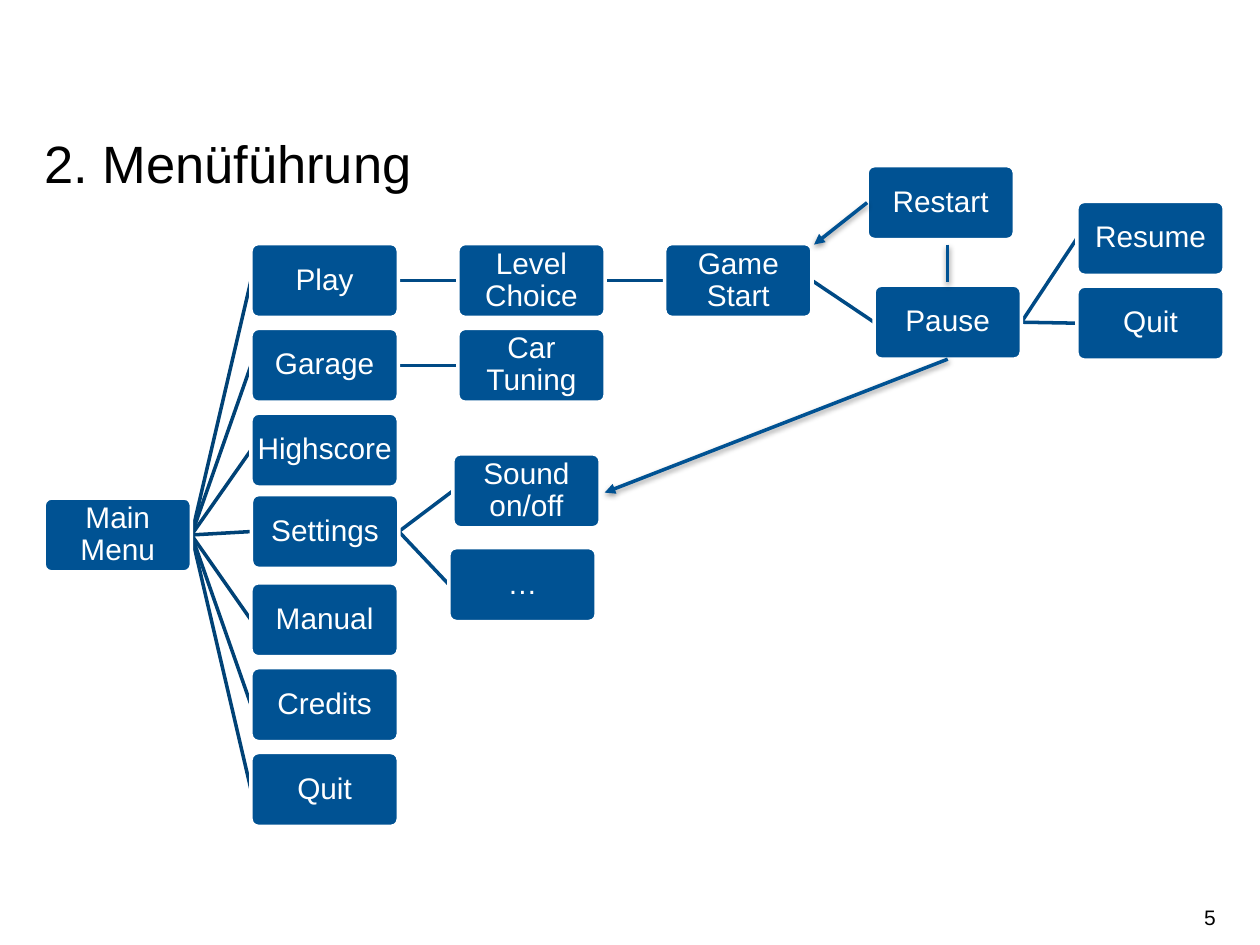
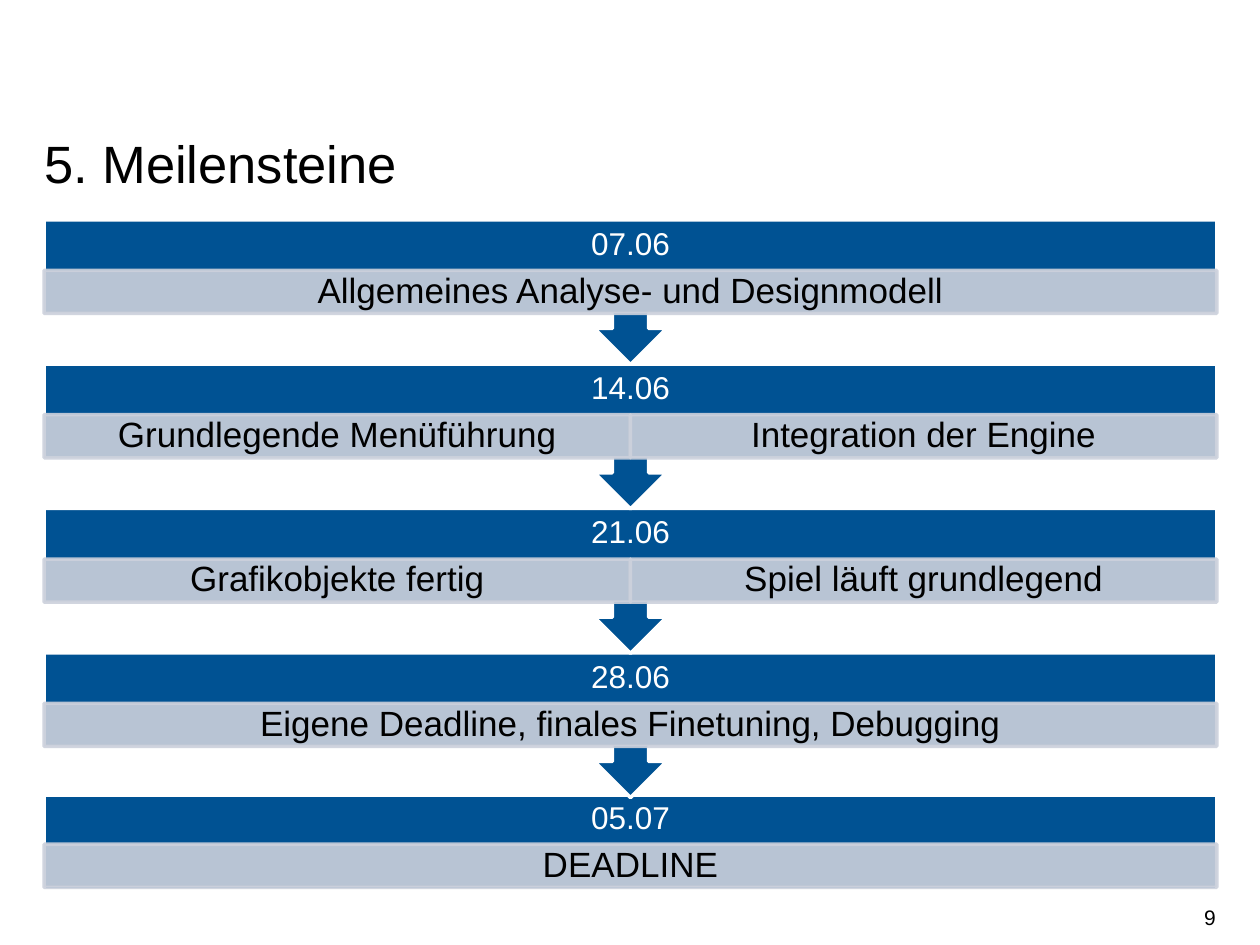
from dataclasses import dataclass

from lxml.etree import SubElement
from pptx import Presentation
from pptx.dml.color import RGBColor
from pptx.enum.shapes import MSO_CONNECTOR, MSO_SHAPE as Preset
from pptx.enum.text import MSO_ANCHOR as Anchor, PP_ALIGN as Align
from pptx.oxml.ns import qn
from pptx.shapes.autoshape import Shape
from pptx.shapes.connector import Connector
from pptx.slide import Slide
from pptx.util import Cm, Pt

BLUE = RGBColor(0x00, 0x52, 0x93)
DEEP_BLUE = RGBColor(0x00, 0x42, 0x76)
MID_BLUE = RGBColor(0x00, 0x4A, 0x85)
PALE = RGBColor(0xCC, 0xD1, 0xDC)
WHITE = RGBColor(0xFF, 0xFF, 0xFF)
BLACK = RGBColor(0x00, 0x00, 0x00)

FONT = "Arial"
LINE_WIDTH = Pt(2)

# All lengths below are in centimetres.
MARGIN = 0.89
CONTENT_WIDTH = 23.64

NODE_WIDTH, NODE_HEIGHT = 2.97, 1.49
COLUMN_STEP, ROW_STEP = 4.17, 1.71
FIRST_ROW = 4.91

FIRST_MILESTONE, MILESTONE_STEP = 4.43, 2.91
CALLOUT_HEIGHT = 2.92
DEADLINE_TOP, DEADLINE_HEIGHT = 16.03, 1.9
TASK_HEIGHT = 0.87


@dataclass(frozen=True)
class Node:
    label: str
    left: float
    top: float

    @property
    def middle(self) -> float:
        return self.top + NODE_HEIGHT / 2

    @property
    def center(self) -> float:
        return self.left + NODE_WIDTH / 2

    @property
    def right(self) -> float:
        return self.left + NODE_WIDTH

    @property
    def bottom(self) -> float:
        return self.top + NODE_HEIGHT


@dataclass(frozen=True)
class Milestone:
    date: str
    tasks: tuple[str, ...]


def grid_node(label: str, column: int, row: int) -> Node:
    return Node(label, MARGIN + column * COLUMN_STEP, FIRST_ROW + row * ROW_STEP)


MAIN = grid_node("Main Menu", 0, 3)
PLAY = grid_node("Play", 1, 0)
GARAGE = grid_node("Garage", 1, 1)
HIGHSCORE = grid_node("Highscore", 1, 2)
SETTINGS = Node("Settings", 5.07, 9.97)
MANUAL = grid_node("Manual", 1, 4)
CREDITS = grid_node("Credits", 1, 5)
QUIT = grid_node("Quit", 1, 6)
LEVEL = grid_node("Level Choice", 2, 0)
TUNING = grid_node("Car Tuning", 2, 1)
SOUND = Node("Sound on/off", 9.13, 9.15)
MORE = Node("…", 9.05, 11.04)
GAME = grid_node("Game Start", 3, 0)
RESTART = Node("Restart", 17.48, 3.34)
PAUSE = Node("Pause", 17.62, 5.75)
RESUME = Node("Resume", 21.71, 4.06)
PAUSE_QUIT = Node("Quit", 21.71, RESUME.top + ROW_STEP)

MENU_TREE = {
    MAIN: (PLAY, GARAGE, HIGHSCORE, SETTINGS, MANUAL, CREDITS, QUIT),
    PLAY: (LEVEL,),
    LEVEL: (GAME,),
    GAME: (PAUSE,),
    PAUSE: (RESUME, PAUSE_QUIT),
    GARAGE: (TUNING,),
    SETTINGS: (SOUND, MORE),
}

MILESTONES = (
    Milestone("07.06", ("Allgemeines Analyse- und Designmodell",)),
    Milestone("14.06", ("Grundlegende Menüführung", "Integration der Engine")),
    Milestone("21.06", ("Grafikobjekte fertig", "Spiel läuft grundlegend")),
    Milestone("28.06", ("Eigene Deadline, finales Finetuning, Debugging",)),
    Milestone("05.07", ("DEADLINE",)),
)


def write(box: Shape, text: str, size: int, color: RGBColor, align: Align = Align.CENTER,
          spacing: float | Pt = 0.9, inset: float = 0) -> None:
    frame = box.text_frame
    frame.word_wrap = True
    frame.vertical_anchor = Anchor.MIDDLE
    frame.margin_left = frame.margin_right = Cm(inset)
    frame.margin_top = frame.margin_bottom = Cm(inset)
    para = frame.paragraphs[0]
    para.alignment = align
    para.line_spacing = spacing
    span = para.add_run()
    span.text = text
    span.font.name = FONT
    span.font.size = Pt(size)
    span.font.color.rgb = color


def add_text(page: Slide, left: float, top: float, width: float, height: float) -> Shape:
    return page.shapes.add_textbox(Cm(left), Cm(top), Cm(width), Cm(height))


def add_block(page: Slide, preset: Preset, left: float, top: float, width: float,
              height: float, fill: RGBColor = BLUE, line: RGBColor = WHITE) -> Shape:
    block = page.shapes.add_shape(preset, Cm(left), Cm(top), Cm(width), Cm(height))
    block.shadow.inherit = False
    block.fill.solid()
    block.fill.fore_color.rgb = fill
    block.line.color.rgb = line
    block.line.width = LINE_WIDTH
    return block


def set_opacity(shape: Shape, percent: int) -> None:
    """Apply one opacity to both the fill and the outline."""
    for color in shape._element.spPr.iter(qn("a:srgbClr")):
        SubElement(color, qn("a:alpha"), val=str(percent * 1000))


def add_line(page: Slide, start: tuple[float, float], end: tuple[float, float],
             color: RGBColor) -> Connector:
    line = page.shapes.add_connector(
        MSO_CONNECTOR.STRAIGHT, *(Cm(value) for value in start + end))
    line.line.color.rgb = color
    line.line.width = LINE_WIDTH
    SubElement(line._element.spPr, qn("a:effectLst"))
    return line


def add_shadowed_line(page: Slide, start: tuple[float, float], end: tuple[float, float],
                      arrow: bool) -> None:
    line = add_line(page, start, end, BLUE)
    properties = line._element.spPr
    if arrow:
        SubElement(properties.find(qn("a:ln")), qn("a:tailEnd"), type="triangle")
    shadow = SubElement(properties.find(qn("a:effectLst")), qn("a:outerShdw"),
                        blurRad="40000", dist="20000", dir="5400000", rotWithShape="0")
    color = SubElement(shadow, qn("a:srgbClr"), val=str(BLACK))
    SubElement(color, qn("a:alpha"), val="38000")


def add_page(deck: Presentation, title: str, number: int) -> Slide:
    page = deck.slides.add_slide(deck.slide_layouts[6])
    write(add_text(page, MARGIN, 2.77, CONTENT_WIDTH, 1.14), title, 30, BLACK,
          Align.LEFT, Pt(32))
    write(add_text(page, 18.83, 17.98, 5.68, 1.02), str(number), 12, BLACK,
          Align.RIGHT, 1.0)
    return page


def add_node(page: Slide, node: Node) -> None:
    block = add_block(page, Preset.ROUNDED_RECTANGLE, node.left, node.top,
                      NODE_WIDTH, NODE_HEIGHT)
    block.adjustments[0] = 0.1
    write(block, node.label, 17, WHITE, inset=0.03)


def draw_menu(page: Slide) -> None:
    for parent, children in MENU_TREE.items():
        color = DEEP_BLUE if parent is MAIN else MID_BLUE
        for child in children:
            add_line(page, (parent.right, parent.middle), (child.left, child.middle), color)

    for node in (MAIN, *(child for group in MENU_TREE.values() for child in group), RESTART):
        add_node(page, node)

    add_shadowed_line(page, (PAUSE.center, PAUSE.bottom), (12.19, 9.93), arrow=True)
    add_shadowed_line(page, (RESTART.left, RESTART.middle), (16.41, 4.93), arrow=True)
    add_shadowed_line(page, (PAUSE.center, 4.93), (PAUSE.center, 5.69), arrow=False)


def add_milestone(page: Slide, milestone: Milestone, top: float, last: bool) -> None:
    header_height = 0.99 if last else 1.02
    if last:
        add_block(page, Preset.RECTANGLE, MARGIN, top, CONTENT_WIDTH, DEADLINE_HEIGHT)
    else:
        callout = add_block(page, Preset.UP_ARROW_CALLOUT, MARGIN, top,
                            CONTENT_WIDTH, CALLOUT_HEIGHT)
        callout.rotation = 180
    header = add_text(page, MARGIN, top, CONTENT_WIDTH, header_height)
    write(header, milestone.date, 18, WHITE)

    task_width = CONTENT_WIDTH / len(milestone.tasks)
    for index, task in enumerate(milestone.tasks):
        block = add_block(page, Preset.RECTANGLE, MARGIN + index * task_width,
                          top + header_height, task_width, TASK_HEIGHT, PALE, PALE)
        set_opacity(block, 90)
        write(block, task, 20, BLACK)


def draw_milestones(page: Slide) -> None:
    """Draw from the bottom up, so that each arrow lies over the step it points to."""
    final = len(MILESTONES) - 1
    for index in range(final, -1, -1):
        last = index == final
        top = DEADLINE_TOP if last else FIRST_MILESTONE + index * MILESTONE_STEP
        add_milestone(page, MILESTONES[index], top, last)


def main() -> None:
    deck = Presentation()
    deck.slide_width, deck.slide_height = Cm(25.4), Cm(19.05)
    draw_menu(add_page(deck, "2. Menüführung", 5))
    draw_milestones(add_page(deck, "5. Meilensteine", 9))
    deck.save("out.pptx")


if __name__ == "__main__":
    main()
